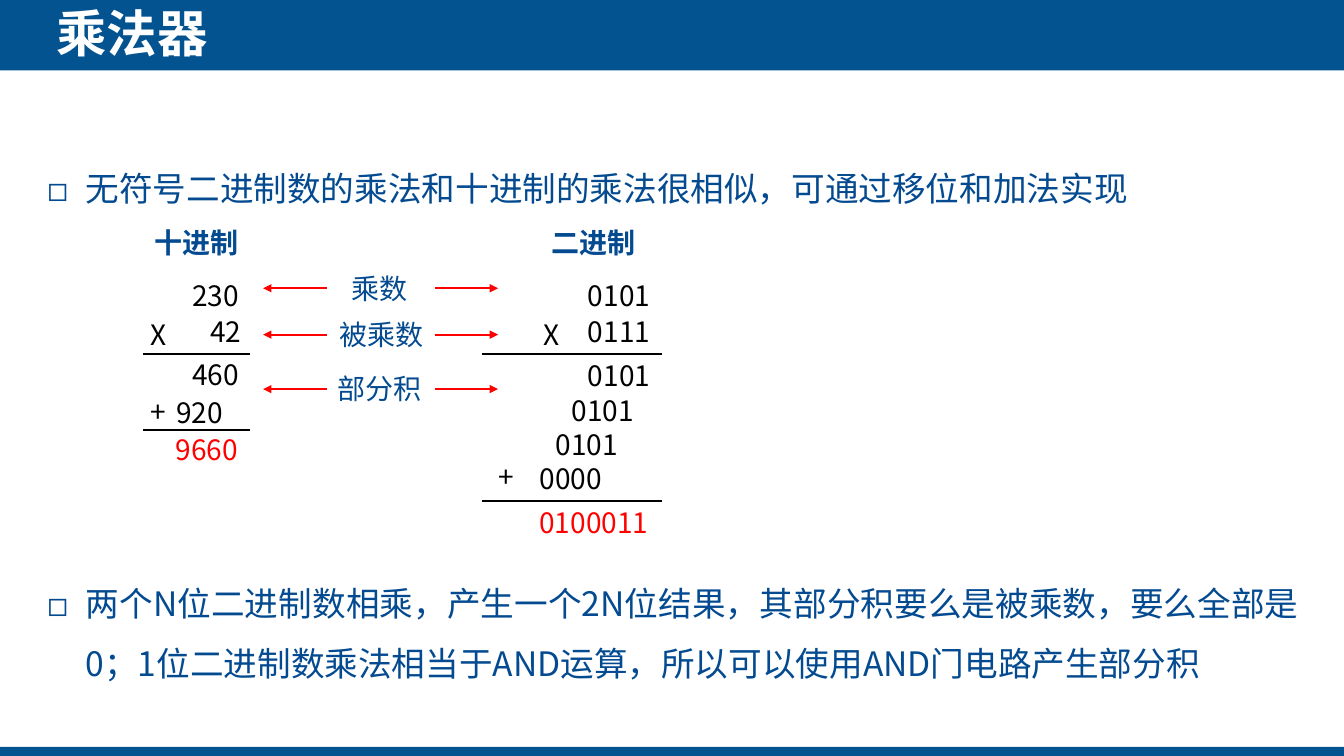
from dataclasses import dataclass
from lxml.etree import SubElement as sub
from pptx import Presentation
from pptx.dml.color import RGBColor as RGB
from pptx.enum.shapes import MSO_CONNECTOR as CON, MSO_SHAPE as SHAPE
from pptx.enum.text import MSO_ANCHOR as ANCHOR, PP_ALIGN as ALIGN
from pptx.oxml.ns import qn
from pptx.util import Inches, Pt


@dataclass(frozen=True)
class Theme:
    face: str = "Noto Sans CJK SC"
    bar: str = "035390"
    blue: str = "034A90"
    red: str = "FF0000"
    black: str = "000000"
    white: str = "FFFFFF"
    head: int = 36
    body: int = 24
    small: int = 20
    line: float = 1.5


def fill(obj, vals):
    for key, val in vals.items():
        setattr(obj, key, val)


class Deck:
    def __init__(self, theme):
        self.theme = theme
        self.file = Presentation()
        fill(self.file, {"slide_width": Inches(13.33), "slide_height": Inches(7.5)})
        self.slide = self.file.slides.add_slide(self.file.slide_layouts[1])

    def place(self, shape, left, top, width, height):
        fill(shape, {"left": Inches(left), "top": Inches(top),
                     "width": Inches(width), "height": Inches(height)})

    def style(self, para, text, size, color, bold=False):
        run = para.add_run()
        run.text = text
        fill(run.font, {"name": self.theme.face, "size": Pt(size), "bold": bold})
        run.font.color.rgb = RGB.from_string(color)
        sub(run.font._element, qn("a:ea"), typeface=self.theme.face)

    def bar(self, top, height):
        shape = self.slide.shapes.add_shape(
            SHAPE.RECTANGLE, 0, Inches(top), self.file.slide_width, Inches(height))
        shape.shadow.inherit = False
        shape.fill.solid()
        shape.fill.fore_color.rgb = RGB.from_string(self.theme.bar)
        shape.line.fill.background()
        # Bars lie behind the placeholders
        self.slide.shapes._spTree.insert(2, shape._element)

    def title(self, text):
        shape = self.slide.shapes.title
        self.place(shape, 0.56, 0.02, 8.57, 0.61)
        fill(shape.text_frame, {
            "margin_left": 0, "margin_top": 0, "margin_right": 0,
            "margin_bottom": 0, "vertical_anchor": ANCHOR.MIDDLE})
        para = shape.text_frame.paragraphs[0]
        para.alignment = ALIGN.LEFT
        self.style(para, text, self.theme.head, self.theme.white, True)

    def list(self, items, gap):
        shape = self.slide.placeholders[1]
        self.place(shape, 0.37, 1.42, 12.61, 5.38)
        frame = shape.text_frame
        frame.vertical_anchor = ANCHOR.TOP
        for i, text in enumerate(items):
            para = frame.add_paragraph() if i else frame.paragraphs[0]
            fill(para, {"alignment": ALIGN.JUSTIFY, "line_spacing": Pt(43),
                        "space_before": Pt(gap * i), "space_after": Pt(0)})
            props = para._p.get_or_add_pPr()
            props.set("marL", str(Inches(0.38)))
            props.set("indent", str(Inches(-0.38)))
            tint = sub(props, qn("a:buClr"))
            sub(tint, qn("a:srgbClr"), val=self.theme.blue)
            sub(props, qn("a:buFont"), typeface=self.theme.face)
            sub(props, qn("a:buChar"), char="◻")
            self.style(para, text, self.theme.body, self.theme.blue)

    def label(self, text, mid, top, color, bold=False):
        width = 1.45
        box = self.slide.shapes.add_textbox(
            Inches(mid - width / 2), Inches(top), Inches(width), Inches(0.44))
        box.text_frame.word_wrap = True
        para = box.text_frame.paragraphs[0]
        para.alignment = ALIGN.CENTER
        self.style(para, text, self.theme.small, color, bold)

    def rule(self, start, end, y, color, arrow=False):
        line = self.slide.shapes.add_connector(
            CON.STRAIGHT, Inches(start), Inches(y), Inches(end), Inches(y))
        line.line.width = Pt(self.theme.line)
        line.line.color.rgb = RGB.from_string(color)
        if arrow:
            sub(line.line._get_or_add_ln(), qn("a:tailEnd"), type="triangle")
        sub(line._element.spPr, qn("a:effectLst"))


def main():
    theme = Theme()
    deck = Deck(theme)

    # Frame, title and list
    deck.bar(0, 0.7)
    deck.bar(7.41, 0.09)
    deck.title("乘法器")
    deck.list([
        "无符号二进制数的乘法和十进制的乘法很相似，可通过移位和加法实现",
        "两个N位二进制数相乘，产生一个2N位结果，其部分积要么是被乘数，要么全部"
        "是0；1位二进制数乘法相当于AND运算，所以可以使用AND门电路产生部分积",
    ], 253)

    # Column heads
    for text, mid in (("十进制", 1.95), ("二进制", 5.89)):
        deck.label(text, mid, 2.19, theme.blue, True)

    # Factors, signs and decimal partial products: text, middle, top
    for text, mid, top in (
            ("230", 2.14, 2.71), ("42", 2.24, 3.07), ("X", 1.57, 3.1),
            ("460", 2.14, 3.5), ("920", 1.98, 3.87), ("+", 1.57, 3.86),
            ("0101", 6.14, 2.71), ("0111", 6.14, 3.07), ("X", 5.47, 3.1),
            ("+", 5.02, 4.51)):
        deck.label(text, mid, top, theme.black)

    # Binary partial products, each shifted one digit left
    for i, text in enumerate(("0101", "0101", "0101", "0000")):
        deck.label(text, 6.14 - 0.16 * i, 3.51 + 0.34 * i, theme.black)

    # Results
    deck.label("9660", 2.05, 4.24, theme.red)
    deck.label("0100011", 5.89, 4.97, theme.red)

    # Sum lines
    for start, end, last in ((1.42, 2.48, 4.27), (4.78, 6.57, 4.97)):
        for y in (3.51, last):
            deck.rule(start, end, y, theme.black)

    # Row names with arrows to both columns
    for text, mid, top in (("乘数", 3.76, 2.64), ("被乘数", 3.78, 3.1),
                           ("部分积", 3.76, 3.64)):
        deck.label(text, mid, top, theme.blue)
        for start, end in ((3.24, 2.61), (4.31, 4.94)):
            deck.rule(start, end, top + 0.22, theme.red, True)

    deck.file.save("out.pptx")


if __name__ == "__main__":
    main()
